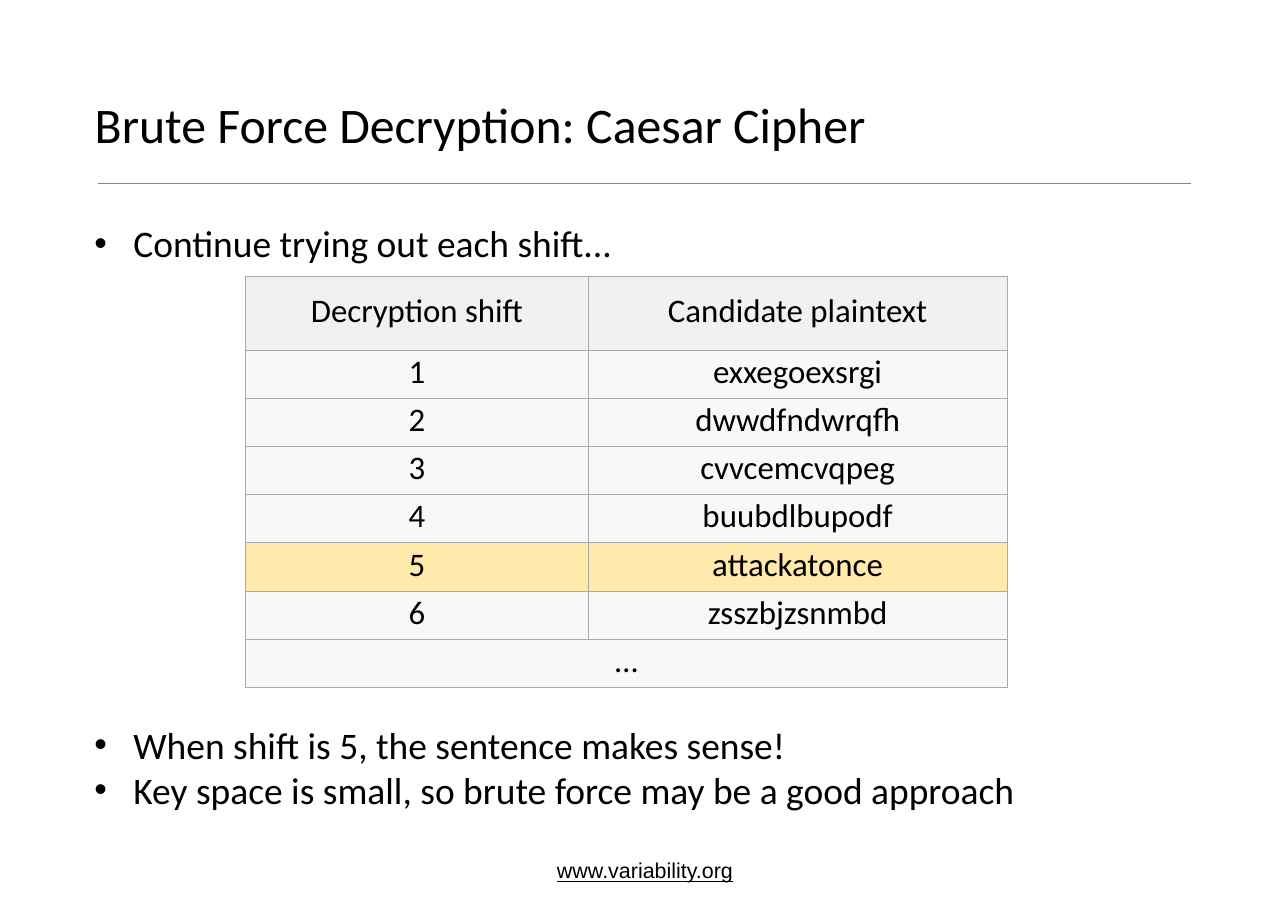
import pptx
import pptx.util
import pptx.dml.color
import pptx.enum.text
import pptx.enum.shapes
import pptx.oxml.ns
import lxml.etree

Pt = pptx.util.Pt
Color = pptx.dml.color.RGBColor
Align = pptx.enum.text.PP_ALIGN
BLACK = Color(0x00, 0x00, 0x00)
RULE = Color(0x87, 0x87, 0x87)
EDGE = Color(0xA9, 0xA9, 0xA9)
HEAD = Color(0xF1, 0xF1, 0xF1)
PLAIN = Color(0xF8, 0xF8, 0xF8)
MARK = Color(0xFF, 0xEA, 0xAC)

SHIFTS = [
    ("Decryption shift", "Candidate plaintext"),
    ("1", "exxegoexsrgi"),
    ("2", "dwwdfndwrqfh"),
    ("3", "cvvcemcvqpeg"),
    ("4", "buubdlbupodf"),
    ("5", "attackatonce"),
    ("6", "zsszbjzsnmbd"),
    ("…", ""),
]


def add_tag(parent, tag, **attrs):
    return lxml.etree.SubElement(parent, pptx.oxml.ns.qn(tag), attrs)


def add_run(para, text, size, face="Calibri"):
    run = para.add_run()
    run.text = text
    run.font.size = Pt(size)
    run.font.name = face
    run.font.color.rgb = BLACK
    return run


def set_frame(frame, top=0):
    frame.word_wrap = True
    frame.auto_size = pptx.enum.text.MSO_AUTO_SIZE.NONE
    frame.vertical_anchor = pptx.enum.text.MSO_ANCHOR.TOP
    frame.margin_left = frame.margin_right = frame.margin_bottom = 0
    frame.margin_top = Pt(top)


def add_box(slide, left, top, width, height, inset=0):
    box = slide.shapes.add_textbox(Pt(left), Pt(top), Pt(width), Pt(height))
    set_frame(box.text_frame, inset)
    return box.text_frame


def add_title(slide, left, top, width, height):
    title = slide.shapes.title
    title.left, title.top = Pt(left), Pt(top)
    title.width, title.height = Pt(width), Pt(height)
    set_frame(title.text_frame, 1.4)
    para = title.text_frame.paragraphs[0]
    para.alignment = Align.LEFT
    add_run(para, "Brute Force Decryption: Caesar Cipher", 32.5)


def add_rule(slide, left, top, width):
    rule = slide.shapes.add_connector(
        pptx.enum.shapes.MSO_CONNECTOR.STRAIGHT,
        Pt(left), Pt(top), Pt(left + width), Pt(top))
    rule.line.color.rgb = RULE
    rule.line.width = Pt(1)
    add_tag(rule.element.spPr, "a:effectLst")


def add_points(slide, left, top, width, height, points):
    frame = add_box(slide, left, top, width, height, 1.4)
    for index, point in enumerate(points):
        para = frame.add_paragraph() if index else frame.paragraphs[0]
        props = para._p.get_or_add_pPr()
        props.set("marL", str(Pt(26)))
        props.set("indent", str(Pt(-25.5)))
        add_tag(props, "a:buSzPct", val="96000")
        add_tag(props, "a:buFont", typeface="Arial")
        add_tag(props, "a:buChar", char="•")
        add_run(para, point, 24.5)


def set_edges(cell):
    props = cell._tc.get_or_add_tcPr()
    for side in ("a:lnL", "a:lnR", "a:lnT", "a:lnB"):
        line = add_tag(props, side, w=str(Pt(0.5)))
        add_tag(add_tag(line, "a:solidFill"), "a:srgbClr", val=str(EDGE))


def add_shifts(slide, left, top, width, height):
    grid = slide.shapes.add_table(
        len(SHIFTS), 2, Pt(left), Pt(top), Pt(width), Pt(height)).table
    grid.first_row = grid.horz_banding = False
    grid.columns[0].width = Pt(width * 0.45)
    grid.columns[1].width = Pt(width * 0.55)
    first = 48
    step = (height - first) / (len(SHIFTS) - 1)
    for row, texts in enumerate(SHIFTS):
        grid.rows[row].height = Pt(step if row else first)
        fill = {0: HEAD, 5: MARK}.get(row, PLAIN)
        for col, text in enumerate(texts):
            cell = grid.cell(row, col)
            cell.margin_left = cell.margin_right = cell.margin_bottom = 0
            cell.margin_top = Pt(1.5 if row else 9.4)
            set_edges(cell)
            cell.fill.solid()
            cell.fill.fore_color.rgb = fill
            if text:
                para = cell.text_frame.paragraphs[0]
                para.alignment = Align.CENTER
                add_run(para, text, 21.5)
    last = len(SHIFTS) - 1
    grid.cell(last, 0).merge(grid.cell(last, 1))


def add_footer(slide, left, top, width, height):
    para = add_box(slide, left, top, width, height).paragraphs[0]
    para.line_spacing = Pt(16.4)
    run = add_run(para, "www.variability.org", 14, "Arial")
    run.font.underline = True


def main():
    deck = pptx.Presentation()
    deck.slide_width, deck.slide_height = Pt(841.7), Pt(594.7)
    slide = deck.slides.add_slide(deck.slide_layouts[5])
    add_title(slide, 61.9, 59.8, 509, 41)
    add_rule(slide, 64, 119.9, 714.4)
    add_points(slide, 61.2, 142.6, 346, 32, ["Continue trying out each shift..."])
    add_shifts(slide, 160.6, 180.7, 497.5, 268.5)
    add_points(slide, 61.2, 470.2, 614, 61, [
        "When shift is 5, the sentence makes sense!",
        "Key space is small, so brute force may be a good approach",
    ])
    add_footer(slide, 364, 560.9, 116, 17.3)
    deck.save("out.pptx")


if __name__ == "__main__":
    main()
